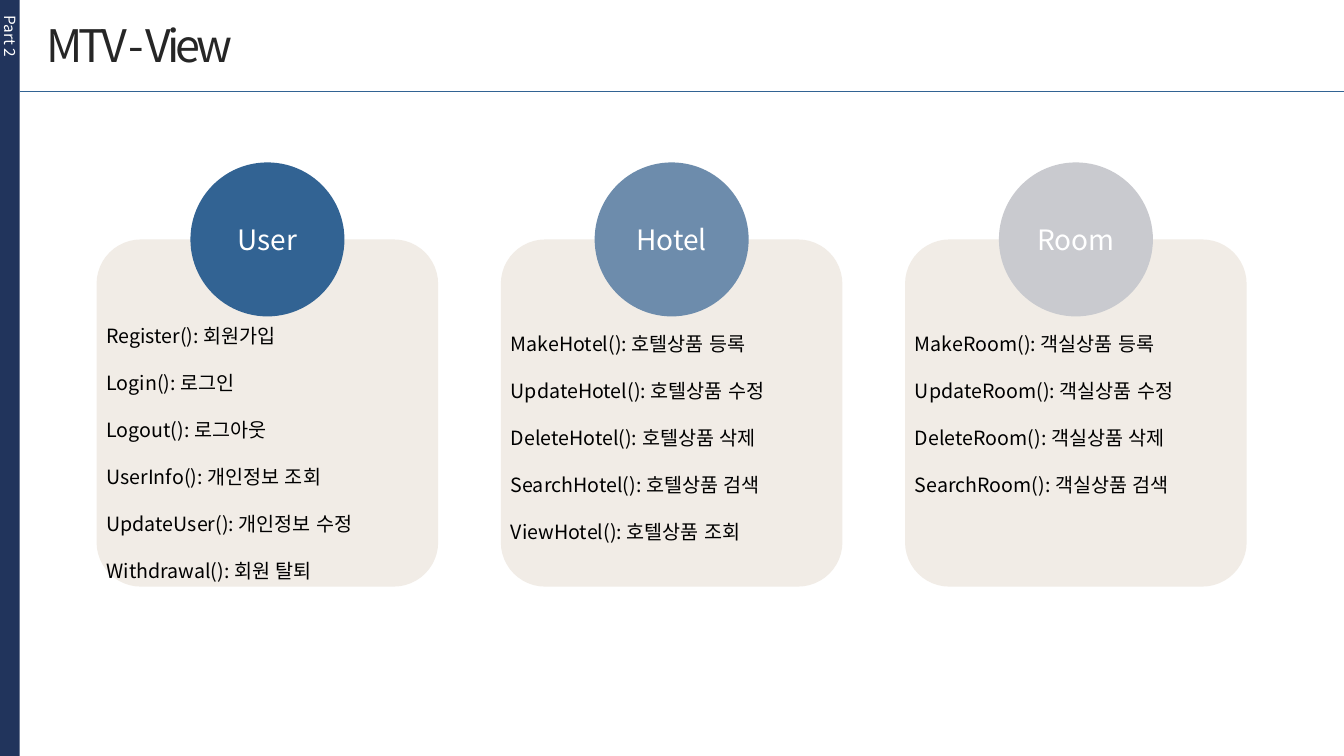
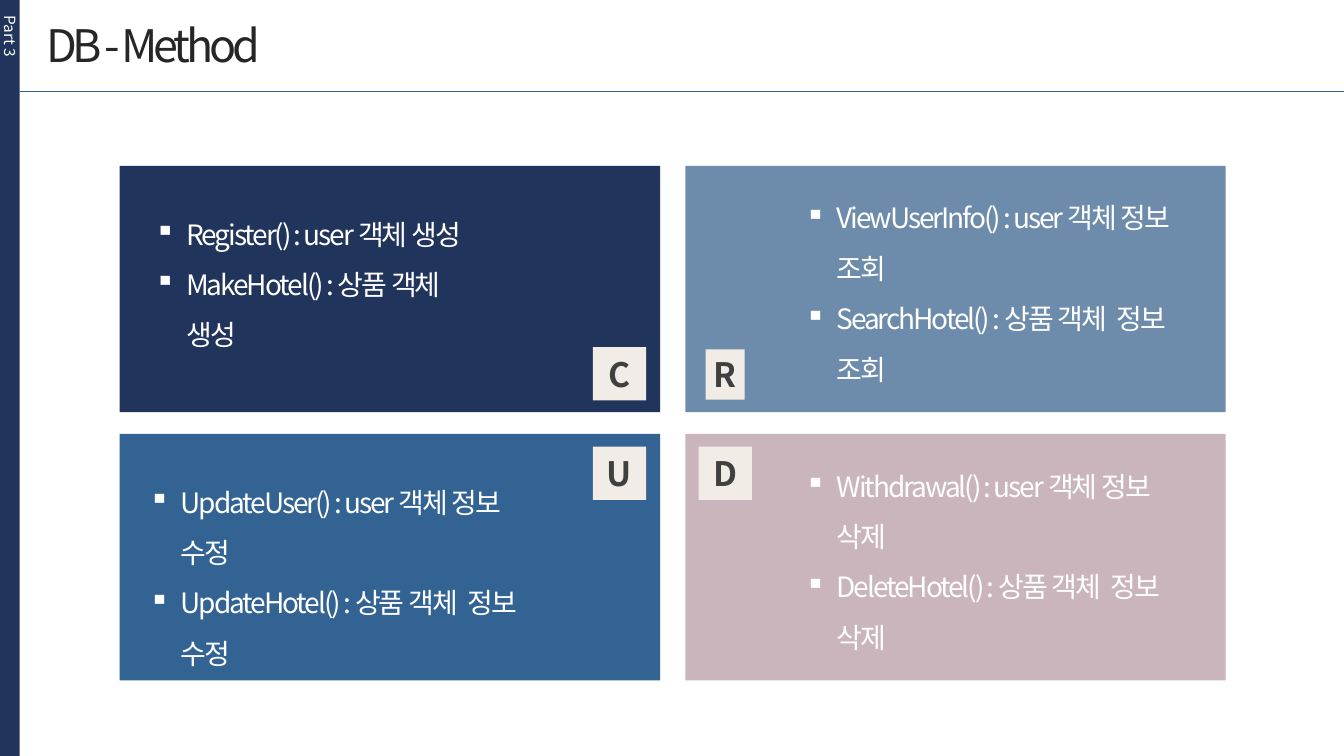
from lxml.etree import SubElement
from pptx import Presentation
from pptx.dml.color import RGBColor
from pptx.enum.shapes import MSO_CONNECTOR, MSO_SHAPE
from pptx.enum.text import MSO_ANCHOR, PP_ALIGN
from pptx.oxml.ns import qn
from pptx.util import Pt

FONT = "Noto Sans CJK KR"
WIDTH, HEIGHT = 960, 540
BAND = 14
COLORS = {
    "navy": "21345C", "blue": "326393", "steel": "6D8CAC", "grey": "C9CACF",
    "rose": "CAB5BD", "cream": "F1ECE6", "title": "262626", "letter": "404040",
    "black": "000000", "white": "FFFFFF",
}

CARDS = [
    ("User", "blue", 56.5, [
        "Register(): 회원가입", "Login(): 로그인", "Logout(): 로그아웃",
        "UserInfo(): 개인정보 조회", "UpdateUser(): 개인정보 수정",
        "Withdrawal(): 회원 탈퇴"]),
    ("Hotel", "steel", 62.5, [
        "MakeHotel(): 호텔상품 등록", "UpdateHotel(): 호텔상품 수정",
        "DeleteHotel(): 호텔상품 삭제", "SearchHotel(): 호텔상품 검색",
        "ViewHotel(): 호텔상품 조회"]),
    ("Room", "grey", 62.5, [
        "MakeRoom(): 객실상품 등록", "UpdateRoom(): 객실상품 수정",
        "DeleteRoom(): 객실상품 삭제", "SearchRoom(): 객실상품 검색"]),
]

PANELS = [
    ("C", "navy", (338, 129.5, 38, 38), (18, 21, 248),
     ["Register() : user 객체 생성", "MakeHotel() : 상품 객체 생성"]),
    ("R", "steel", (14.5, 131, 28, 36), (78.5, 9.5, 288),
     ["ViewUserInfo() : user 객체 정보 조회", "SearchHotel() : 상품 객체  정보 조회"]),
    ("U", "blue", (338, 9, 38, 38), (14, 21, 295),
     ["UpdateUser() : user 객체 정보 수정", "UpdateHotel() : 상품 객체  정보 수정"]),
    ("D", "rose", (9.5, 9, 38, 38), (78.5, 9.5, 288),
     ["Withdrawal() : user 객체 정보 삭제", "DeleteHotel() : 상품 객체  정보 삭제"]),
]


def rgb(name):
    return RGBColor.from_string(COLORS[name])


def style(p, size, color, bold=False, spacing=0):
    for r in p.runs:
        r.font.size = Pt(size)
        r.font.bold = bold
        r.font.name = FONT
        r.font.color.rgb = rgb(color)
        rPr = r.font._element
        rPr.set("lang", "ko-KR")
        if spacing:
            rPr.set("spc", str(round(spacing * 100)))
        SubElement(rPr, qn("a:ea")).set("typeface", FONT)


def add_box(s, kind, x, y, w, h, fill):
    sp = s.shapes.add_shape(kind, Pt(x), Pt(y), Pt(w), Pt(h))
    sp.shadow.inherit = False
    sp.fill.solid()
    sp.fill.fore_color.rgb = rgb(fill)
    sp.line.fill.background()
    return sp


def add_label(sp, text, size, color, bold=False):
    tf = sp.text_frame
    tf.word_wrap = False
    tf.margin_left = tf.margin_right = tf.margin_top = tf.margin_bottom = 0
    tf.vertical_anchor = MSO_ANCHOR.MIDDLE
    tf.text = text
    tf.paragraphs[0].alignment = PP_ALIGN.CENTER
    style(tf.paragraphs[0], size, color, bold)


def add_text(s, x, y, w, h, lines):
    tf = s.shapes.add_textbox(Pt(x), Pt(y), Pt(w), Pt(h)).text_frame
    tf.word_wrap = True
    for i, line in enumerate(lines):
        p = tf.add_paragraph() if i else tf.paragraphs[0]
        p.text = line
    return tf


def add_bullet(p, char, indent):
    pPr = p._p.get_or_add_pPr()
    pPr.set("marL", str(Pt(indent)))
    pPr.set("indent", str(-Pt(indent)))
    SubElement(pPr, qn("a:buChar")).set("char", char)


def add_frame(prs, title, part):
    s = prs.slides.add_slide(prs.slide_layouts[6])
    rule = s.shapes.add_connector(
        MSO_CONNECTOR.STRAIGHT, Pt(BAND), Pt(65.5), Pt(WIDTH), Pt(65.5))
    rule.line.color.rgb = rgb("blue")
    rule.line.width = Pt(0.5)
    SubElement(rule._element.spPr, qn("a:effectLst"))
    add_box(s, MSO_SHAPE.RECTANGLE, 0, 0, BAND, HEIGHT, "navy")
    tf = add_text(s, 26, 9, 300, 46, [title])
    style(tf.paragraphs[0], 32, "title", spacing=-3)
    tf = add_text(s, 0, 11, BAND, 140, [part])
    tf.margin_left = tf.margin_right = tf.margin_top = tf.margin_bottom = 0
    tf._txBody.bodyPr.set("vert", "eaVert")
    style(tf.paragraphs[0], 11, "white")
    return s


def add_card(s, x, y, w, h, name, color, text_top, methods):
    card = add_box(s, MSO_SHAPE.ROUNDED_RECTANGLE, x, y, w, h, "cream")
    card.adjustments[0] = 0.13
    d = 110
    circle = add_box(s, MSO_SHAPE.OVAL, x + (w - d) / 2, y - d / 2, d, d, color)
    add_label(circle, name, 20, "white")
    tf = add_text(s, x, y + text_top, w + 16, h - text_top, methods)
    for i, p in enumerate(tf.paragraphs):
        p.alignment = PP_ALIGN.JUSTIFY
        if i:
            p.space_before = Pt(16.85)
        style(p, 14, "black")


def add_panel(s, x, y, w, h, letter, color, badge, text, methods):
    add_box(s, MSO_SHAPE.RECTANGLE, x, y, w, h, color)
    bx, by, bw, bh = badge
    tile = add_box(s, MSO_SHAPE.RECTANGLE, x + bx, y + by, bw, bh, "cream")
    add_label(tile, letter, 24, "letter", bold=True)
    tx, ty, tw = text
    tf = add_text(s, x + tx, y + ty, tw, h - ty, methods)
    for p in tf.paragraphs:
        p.line_spacing = 1.5
        add_bullet(p, "▪", 22.5)
        style(p, 20, "white", spacing=-1.5)


def build_views(prs):
    s = add_frame(prs, "MTV - View", "Part 2")
    w, h, gap = 244, 248, 44.75
    for i, card in enumerate(CARDS):
        add_card(s, 69 + i * (w + gap), 171, w, h, *card)


def build_methods(prs):
    s = add_frame(prs, "DB - Method", "Part 3")
    w, h, gap_x, gap_y = 386, 176, 18, 15.5
    for i, panel in enumerate(PANELS):
        row, col = divmod(i, 2)
        add_panel(s, 85.5 + col * (w + gap_x), 118.5 + row * (h + gap_y), w, h, *panel)


def main():
    prs = Presentation()
    prs.slide_width, prs.slide_height = Pt(WIDTH), Pt(HEIGHT)
    build_views(prs)
    build_methods(prs)
    prs.save("out.pptx")


if __name__ == "__main__":
    main()
